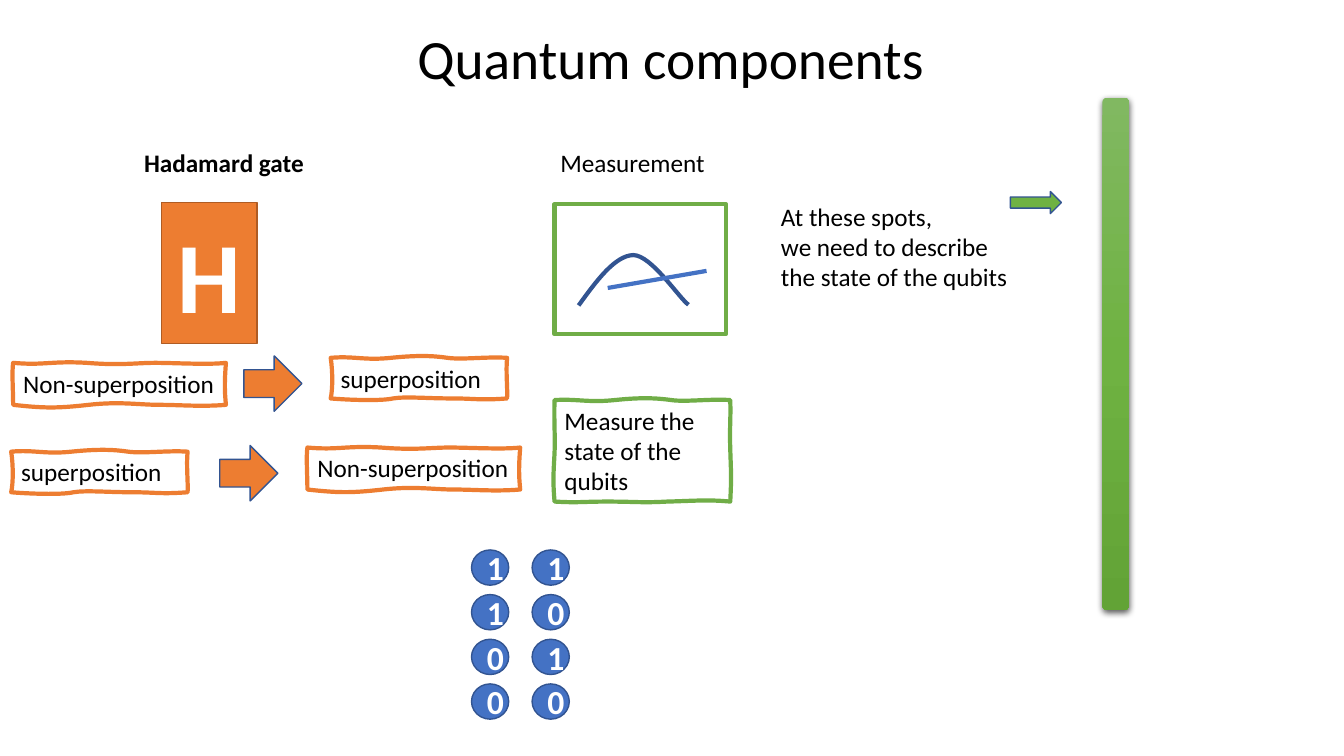
import copy
import dataclasses

import lxml.etree
import pptx
import pptx.dml.color
import pptx.enum.shapes
import pptx.enum.text
import pptx.oxml
import pptx.oxml.ns
import pptx.util

Pt = pptx.util.Pt
qn = pptx.oxml.ns.qn
Shape = pptx.enum.shapes.MSO_SHAPE
Align = pptx.enum.text.PP_ALIGN
Anchor = pptx.enum.text.MSO_ANCHOR


@dataclasses.dataclass(frozen=True)
class Theme:
    font: str = "Calibri"
    black: str = "000000"
    white: str = "FFFFFF"
    orange: str = "ED7D31"
    dark_orange: str = "AF5C24"
    green: str = "70AD47"
    bar_greens: tuple = ("81B861", "6FB242", "62A336")
    arrow_green: str = "6FB243"
    blue: str = "4472C4"
    dark_blue: str = "325491"
    title: float = 39.6
    body: float = 18
    bit: float = 24
    gate: float = 72
    thin: float = 1
    thick: float = 3


THEME = Theme()

LONG_OUTLINE = [
    (22, 2, 27, -1.5, 52.5, 0), (77, 2, 88, 0, 101.5, 0), (115, 0, 139.5, 1.5, 152, 0),
    (151, 13.5, 151, 19.5, 152, 30), (134, 31.5, 119, 30, 104.5, 30),
    (90, 30, 76, 27.5, 54, 30), (31.5, 32.5, 22.5, 32.5, 0, 30), (0, 19.5, -1, 6.5, 0, 0),
]
SHORT_OUTLINE = [
    (16.5, -1.5, 24, 2, 43, 0), (62.5, -2, 73.5, -1.5, 83.5, 0), (94, 1.5, 111.5, -1, 126, 0),
    (125, 9.5, 126.5, 23, 126, 29), (106.5, 30.5, 103.5, 29, 86.5, 29),
    (68.5, 29, 53.5, 27.5, 44.5, 29), (36, 31, 11.5, 30, 0, 29), (1.5, 22.5, 1.5, 9.5, 0, 0),
]
TALL_OUTLINE = [
    (16.5, -1, 24, 2, 43, 0), (62, -2, 72.5, -1.5, 83.5, 0), (93.5, 1.5, 111, -1, 125.5, 0),
    (126, 13.5, 125, 18, 125.5, 34.5), (126, 51, 126.5, 54, 125.5, 72.5),
    (109.5, 71, 100, 72, 80.5, 72.5), (62, 73.5, 57.5, 72.5, 38, 72.5),
    (19, 72.5, 18, 73.5, 0, 72.5), (-1.5, 56, -0.5, 49, 0, 37.5), (0.5, 26, -0.5, 14.5, 0, 0),
]
DIAL_ARC = [(13, -18, 26, -35.5, 39, -36), (52, -36, 72, -5, 78.5, -0.5)]


def color(value):
    return pptx.dml.color.RGBColor.from_string(value)


def write(shape, text, size=THEME.body, ink=THEME.black, bold=False,
          align=Align.LEFT, anchor=Anchor.TOP, wrap=True):
    frame = shape.text_frame
    frame.text = text
    frame.word_wrap = wrap
    frame.vertical_anchor = anchor
    for para in frame.paragraphs:
        para.alignment = align
        para.font.name = THEME.font
        para.font.size = Pt(size)
        para.font.bold = bold
        para.font.color.rgb = color(ink)


def add_label(page, box, text, bold=False):
    label = page.shapes.add_textbox(*map(Pt, box))
    write(label, text, bold=bold, wrap=False)
    label.text_frame.auto_size = pptx.enum.text.MSO_AUTO_SIZE.SHAPE_TO_FIT_TEXT


def add_block(shapes, kind, box, fill, line, width=THEME.thin):
    block = shapes.add_shape(kind, *map(Pt, box))
    block.shadow.inherit = False
    block.fill.solid()
    block.fill.fore_color.rgb = color(fill)
    block.line.color.rgb = color(line)
    block.line.width = Pt(width)
    return block


def add_curve(page, left, top, curves, line, closed=True):
    builder = page.shapes.build_freeform(Pt(left), Pt(top))
    ends = [(Pt(left + curve[4]), Pt(top + curve[5])) for curve in curves]
    builder.add_line_segments(ends, close=closed)
    shape = builder.convert_to_shape()
    segments = list(shape._element.iter(qn("a:lnTo")))
    for segment, (x1, y1, x2, y2, _, _) in zip(segments, curves):
        segment.tag = qn("a:cubicBezTo")
        for index, (x, y) in enumerate(((x1, y1), (x2, y2))):
            control = lxml.etree.Element(qn("a:pt"))
            control.set("x", str(Pt(left + x) - shape.left))
            control.set("y", str(Pt(top + y) - shape.top))
            segment.insert(index, control)
    shape.shadow.inherit = False
    shape.fill.background()
    shape.line.color.rgb = color(line)
    shape.line.width = Pt(THEME.thick)
    return shape


def add_title(page, box):
    title = page.shapes.title
    title.left, title.top, title.width, title.height = map(Pt, box)
    write(title, "Quantum components", THEME.title, anchor=Anchor.MIDDLE)
    title.text_frame.paragraphs[0].line_spacing = 0.9


def add_hadamard(page, left, top):
    add_label(page, (left + 87.8, top, 129.6, 28.8), "Hadamard gate", bold=True)
    gate = add_block(page.shapes, Shape.RECTANGLE, (left + 107.2, top + 43.2, 68.4, 100.8),
                     THEME.orange, THEME.dark_orange)
    write(gate, "H", THEME.gate, THEME.white, True, Align.CENTER, Anchor.MIDDLE)
    long_state = ("Non-superposition", LONG_OUTLINE)
    short_state = ("superposition", SHORT_OUTLINE)
    rows = [
        ((1.4, 157.7, long_state), (166.2, 152.7), (228.2, 154.1, short_state)),
        ((0, 221.1, short_state), (149, 216.7), (211.6, 218.2, long_state)),
    ]
    for before, (arrow_x, arrow_y), after in rows:
        for x, y, (text, outline) in (before, after):
            write(add_curve(page, left + x, top + y, outline, THEME.orange), text)
        add_block(page.shapes, Shape.RIGHT_ARROW, (left + arrow_x, top + arrow_y, 41.5, 39.6),
                  THEME.orange, THEME.dark_blue)


def add_measurement(page, left, top):
    add_label(page, (left, top, 123.1, 28.8), "Measurement")
    add_block(page.shapes, Shape.RECTANGLE, (left + 3, top + 44.4, 122.4, 92.9),
              THEME.white, THEME.green, THEME.thick)
    add_curve(page, left + 20.2, top + 116.7, DIAL_ARC, THEME.dark_blue, closed=False)
    needle = page.shapes.add_connector(
        pptx.enum.shapes.MSO_CONNECTOR.STRAIGHT,
        Pt(left + 41), Pt(top + 104.2), Pt(left + 111.6), Pt(top + 92))
    needle.line.color.rgb = color(THEME.blue)
    needle.line.width = Pt(THEME.thick)
    lxml.etree.SubElement(needle._element.spPr, qn("a:effectLst"))
    note = add_curve(page, left + 3, top + 184.3, TALL_OUTLINE, THEME.green)
    write(note, "Measure the state of the qubits")


def add_state_spot(page, left, top):
    add_label(page, (left, top + 70.2, 177.8, 72.7),
              "At these spots,\nwe need to describe\nthe state of the qubits")
    add_block(page.shapes, Shape.RIGHT_ARROW, (left + 170.9, top + 67, 36.5, 15.8),
              THEME.arrow_green, THEME.dark_blue)
    bar = page.shapes.add_shape(Shape.ROUNDED_RECTANGLE, Pt(left + 236.6), Pt(top),
                                Pt(19.4), Pt(365.8))
    bar.line.fill.background()
    bar.fill.gradient()
    bar.fill.gradient_angle = 270
    stop_list = bar._element.spPr.find(".//" + qn("a:gsLst"))
    stop_list.insert(1, copy.deepcopy(stop_list[0]))
    for stop, position, green in zip(bar.fill.gradient_stops, (0, 0.5, 1), THEME.bar_greens):
        stop.position = position
        stop.color.rgb = color(green)
    bar._element.spPr.append(pptx.oxml.parse_xml(
        f'<a:effectLst {pptx.oxml.ns.nsdecls("a")}>'
        f'<a:outerShdw blurRad="{Pt(4.5)}" dist="{Pt(1.5)}" dir="5400000" rotWithShape="0">'
        f'<a:srgbClr val="{THEME.black}"><a:alpha val="63000"/></a:srgbClr>'
        '</a:outerShdw></a:effectLst>'))


def add_bits(page, left, top):
    group = page.shapes.add_group_shape()
    for row, pair in enumerate(("11", "10", "01", "00")):
        for column, digit in enumerate(pair):
            box = (left + column * 43.3, top + row * 31.9, 26.6, 25.2)
            bit = add_block(group.shapes, Shape.OVAL, box, THEME.blue, THEME.dark_blue)
            write(bit, digit, THEME.bit, THEME.white, True, Align.CENTER, Anchor.MIDDLE)


def main():
    deck = pptx.Presentation()
    deck.slide_width, deck.slide_height = Pt(960), Pt(540)
    page = deck.slides.add_slide(deck.slide_layouts[5])
    add_title(page, (290.9, 18.3, 412.6, 51.8))
    add_hadamard(page, 8, 101.5)
    add_measurement(page, 393.1, 101.5)
    add_state_spot(page, 550.8, 69.8)
    add_bits(page, 336.8, 392.8)
    deck.save("out.pptx")


if __name__ == "__main__":
    main()
